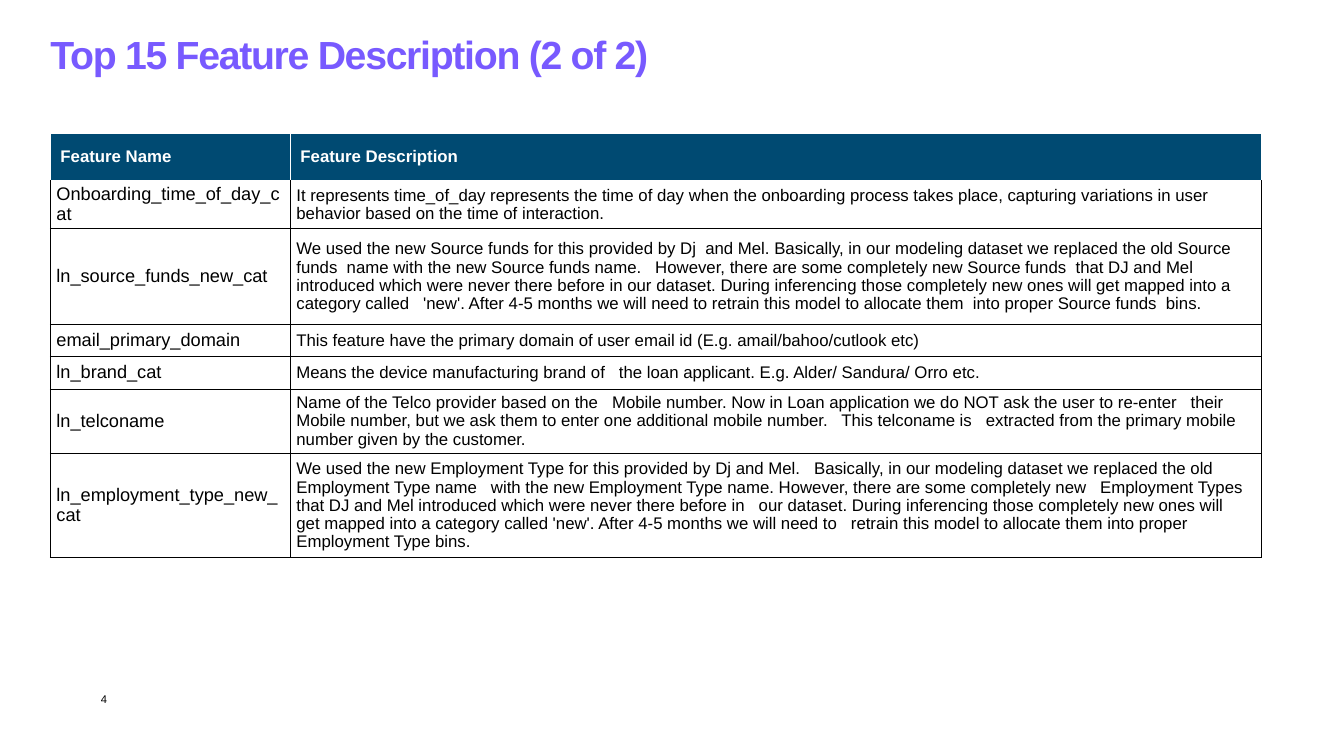
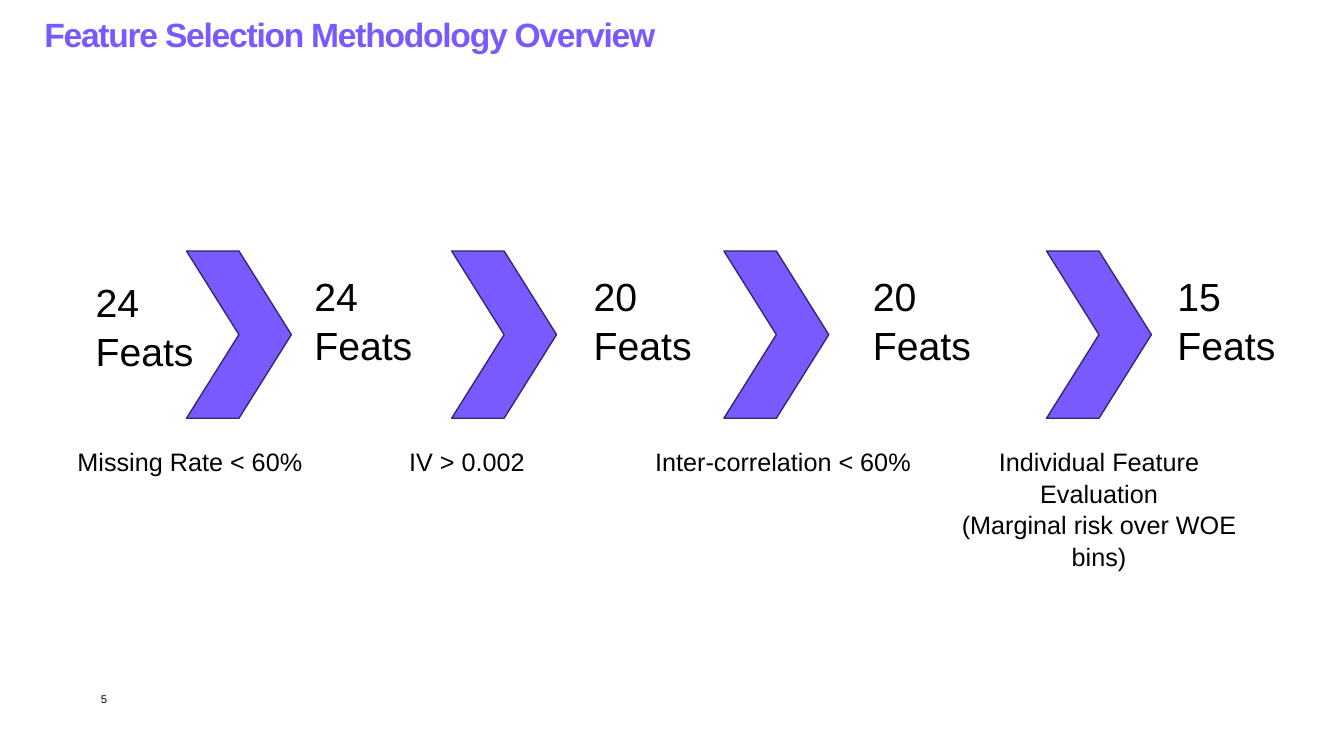
from dataclasses import dataclass

from lxml import etree
from pptx import Presentation
from pptx.dml.color import RGBColor
from pptx.enum.shapes import MSO_SHAPE
from pptx.enum.text import MSO_ANCHOR, MSO_AUTO_SIZE, PP_ALIGN
from pptx.oxml.ns import qn
from pptx.util import Inches, Pt

CHEVRON = MSO_SHAPE.CHEVRON
TOP, MIDDLE = MSO_ANCHOR.TOP, MSO_ANCHOR.MIDDLE
LEFT, CENTER = PP_ALIGN.LEFT, PP_ALIGN.CENTER
NO_AUTOFIT = MSO_AUTO_SIZE.NONE
TITLE_ONLY = 5

FONT = "Arial"
COLORS = {
    "accent": "785AFF",
    "outline": "352770",
    "header": "004A72",
    "ink": "000000",
    "paper": "FFFFFF",
}
BORDER_SIDES = ("L", "R", "T", "B")
COLUMN_WIDTHS = (2.38, 9.63)
CHEVRON_TOP, CHEVRON_WIDTH, CHEVRON_HEIGHT = 2.49, 1.04, 1.66
COUNT_WIDTH, COUNT_HEIGHT = 1.59, 1.04
RULE_TOP = 4.37


@dataclass(frozen=True)
class Feature:
    name: str
    description: str
    height: float


@dataclass(frozen=True)
class FeatureCount:
    count: str
    left: float
    top: float = 2.63


@dataclass(frozen=True)
class Filter:
    rule: str
    chevron_left: float
    rule_left: float
    rule_width: float
    rule_height: float = 0.4
    align: PP_ALIGN = LEFT


FEATURES = (
    Feature(
        "Onboarding_time_of_day_cat",
        "It represents time_of_day represents the time of day when the onboarding process "
        "takes place, capturing variations in user behavior based on the time of interaction.",
        0.47,
    ),
    Feature(
        "ln_source_funds_new_cat",
        "We used the new Source funds for this provided by Dj  and Mel. Basically, in our "
        "modeling dataset we replaced the old Source funds  name with the new Source funds "
        "name.   However, there are some completely new Source funds  that DJ and Mel "
        "introduced which were never there before in our dataset. During inferencing those "
        "completely new ones will get mapped into a category called   'new'. After 4-5 months "
        "we will need to retrain this model to allocate them  into proper Source funds  bins.",
        0.95,
    ),
    Feature(
        "email_primary_domain",
        "This feature have the primary domain of user email id (E.g. amail/bahoo/cutlook etc)",
        0.32,
    ),
    Feature(
        "ln_brand_cat",
        "Means the device manufacturing brand of   the loan applicant. "
        "E.g. Alder/ Sandura/ Orro etc.",
        0.32,
    ),
    Feature(
        "ln_telconame",
        "Name of the Telco provider based on the   Mobile number. Now in Loan application we "
        "do NOT ask the user to re-enter   their Mobile number, but we ask them to enter one "
        "additional mobile number.   This telconame is   extracted from the primary mobile "
        "number given by the customer.",
        0.47,
    ),
    Feature(
        "ln_employment_type_new_cat",
        "We used the new Employment Type for this provided by Dj and Mel.   Basically, in our "
        "modeling dataset we replaced the old Employment Type name   with the new Employment "
        "Type name. However, there are some completely new   Employment Types that DJ and Mel "
        "introduced which were never there before in   our dataset. During inferencing those "
        "completely new ones will   get mapped into a category called 'new'. After 4-5 months "
        "we will need to   retrain this model to allocate them into proper Employment Type bins.",
        0.9,
    ),
)

COUNTS = (
    FeatureCount("24", 0.85, 2.69),
    FeatureCount("24", 3.02),
    FeatureCount("20", 5.79),
    FeatureCount("20", 8.56),
    FeatureCount("15", 11.58),
)

FILTERS = (
    Filter("Missing Rate < 60%", 1.85, 0.67, 2.91),
    Filter("IV > 0.002", 4.48, 3.96, 2.08),
    Filter("Inter-correlation < 60%", 7.18, 6.4, 3.24),
    Filter("Individual Feature Evaluation\n(Marginal risk over WOE bins)",
           10.38, 9.19, 3.42, 0.71, CENTER),
)


def rgb(name: str) -> RGBColor:
    return RGBColor.from_string(COLORS[name])


def write_text(frame, text: str, *, size: float, color: str = "ink", bold: bool = False,
               align: PP_ALIGN = LEFT, line_spacing: float = 1.0,
               tracking: float = 0) -> None:
    for index, line in enumerate(text.split("\n")):
        para = frame.paragraphs[0] if index == 0 else frame.add_paragraph()
        para.alignment = align
        para.line_spacing = line_spacing
        span = para.add_run()
        span.text = line
        span.font.name = FONT
        span.font.size = Pt(size)
        span.font.bold = bold
        span.font.color.rgb = rgb(color)
        if tracking:
            span.font._element.set("spc", str(round(tracking * 100)))


def set_margins(target, horizontal: float, vertical: float) -> None:
    target.margin_left = target.margin_right = Inches(horizontal)
    target.margin_top = target.margin_bottom = Inches(vertical)


def add_text(page, text: str, left: float, top: float, width: float, height: float, *,
             inset: tuple[float, float] = (0.1, 0.05), **text_format) -> None:
    box = page.shapes.add_textbox(Inches(left), Inches(top), Inches(width), Inches(height))
    box.text_frame.word_wrap = True
    set_margins(box.text_frame, *inset)
    write_text(box.text_frame, text, **text_format)


def add_page(deck, title: str, number: int, left: float, top: float, width: float,
             height: float, size: float):
    page = deck.slides.add_slide(deck.slide_layouts[TITLE_ONLY])
    box = page.shapes.title
    box.left, box.top = Inches(left), Inches(top)
    box.width, box.height = Inches(width), Inches(height)
    frame = box.text_frame
    frame.auto_size = NO_AUTOFIT
    frame.word_wrap = True
    frame.vertical_anchor = TOP
    set_margins(frame, 0, 0)
    write_text(frame, title, size=size, color="accent", bold=True,
               line_spacing=1.1, tracking=-0.9)
    add_text(page, str(number), 1, 6.87, 2.92, 0.25, inset=(0, 0), size=8)
    return page


def set_borders(cell, side_colors: dict[str, str], width: float) -> None:
    properties = cell._tc.get_or_add_tcPr()
    for side in BORDER_SIDES:
        line = etree.SubElement(properties, qn(f"a:ln{side}"), w=str(Pt(width)))
        fill = etree.SubElement(line, qn("a:solidFill"))
        etree.SubElement(fill, qn("a:srgbClr"), val=COLORS[side_colors[side]])


def format_header_cell(cell, text: str) -> None:
    set_borders(cell, dict.fromkeys(BORDER_SIDES, "paper"), 1)
    cell.fill.solid()
    cell.fill.fore_color.rgb = rgb("header")
    cell.vertical_anchor = MIDDLE
    write_text(cell.text_frame, text, size=12, color="paper", bold=True)


def format_body_cell(cell, text: str, size: float, first: bool) -> None:
    side_colors = dict.fromkeys(BORDER_SIDES, "ink")
    if first:
        side_colors["T"] = "paper"
    set_borders(cell, side_colors, 0.75)
    cell.fill.background()
    cell.vertical_anchor = MIDDLE
    set_margins(cell, 0.06, 0.03)
    write_text(cell.text_frame, text, size=size, line_spacing=0.97)


def add_feature_table(page) -> None:
    heights = [0.47] + [feature.height for feature in FEATURES]
    table = page.shapes.add_table(
        len(heights), len(COLUMN_WIDTHS), Inches(0.5), Inches(1.32),
        Inches(sum(COLUMN_WIDTHS)), Inches(sum(heights))).table
    table.first_row = table.horz_banding = False
    for column, width in zip(table.columns, COLUMN_WIDTHS):
        column.width = Inches(width)
    for row, height in zip(table.rows, heights):
        row.height = Inches(height)
    for column, heading in enumerate(("Feature Name", "Feature Description")):
        format_header_cell(table.cell(0, column), heading)
    for row, feature in enumerate(FEATURES, start=1):
        format_body_cell(table.cell(row, 0), feature.name, 13, row == 1)
        format_body_cell(table.cell(row, 1), feature.description, 12, row == 1)


def add_chevron(page, left: float) -> None:
    chevron = page.shapes.add_shape(CHEVRON, Inches(left), Inches(CHEVRON_TOP),
                                    Inches(CHEVRON_WIDTH), Inches(CHEVRON_HEIGHT))
    chevron.shadow.inherit = False
    chevron.fill.solid()
    chevron.fill.fore_color.rgb = rgb("accent")
    chevron.line.color.rgb = rgb("outline")
    chevron.line.width = Pt(1)


def add_selection_flow(page) -> None:
    for step in FILTERS:
        add_chevron(page, step.chevron_left)
        add_text(page, step.rule, step.rule_left, RULE_TOP, step.rule_width,
                 step.rule_height, size=18, align=step.align, line_spacing=1.04)
    for stage in COUNTS:
        add_text(page, f"{stage.count}\nFeats", stage.left, stage.top, COUNT_WIDTH,
                 COUNT_HEIGHT, size=28, line_spacing=1.04)


def main() -> None:
    deck = Presentation()
    deck.slide_width, deck.slide_height = Inches(13.33), Inches(7.5)
    add_feature_table(add_page(deck, "Top 15 Feature Description (2 of 2)", 4,
                               0.5, 0.25, 11.34, 0.64, 28))
    add_selection_flow(add_page(deck, "Feature Selection Methodology Overview", 5,
                                0.44, 0.1, 12.48, 0.72, 24))
    deck.save("out.pptx")


if __name__ == "__main__":
    main()
